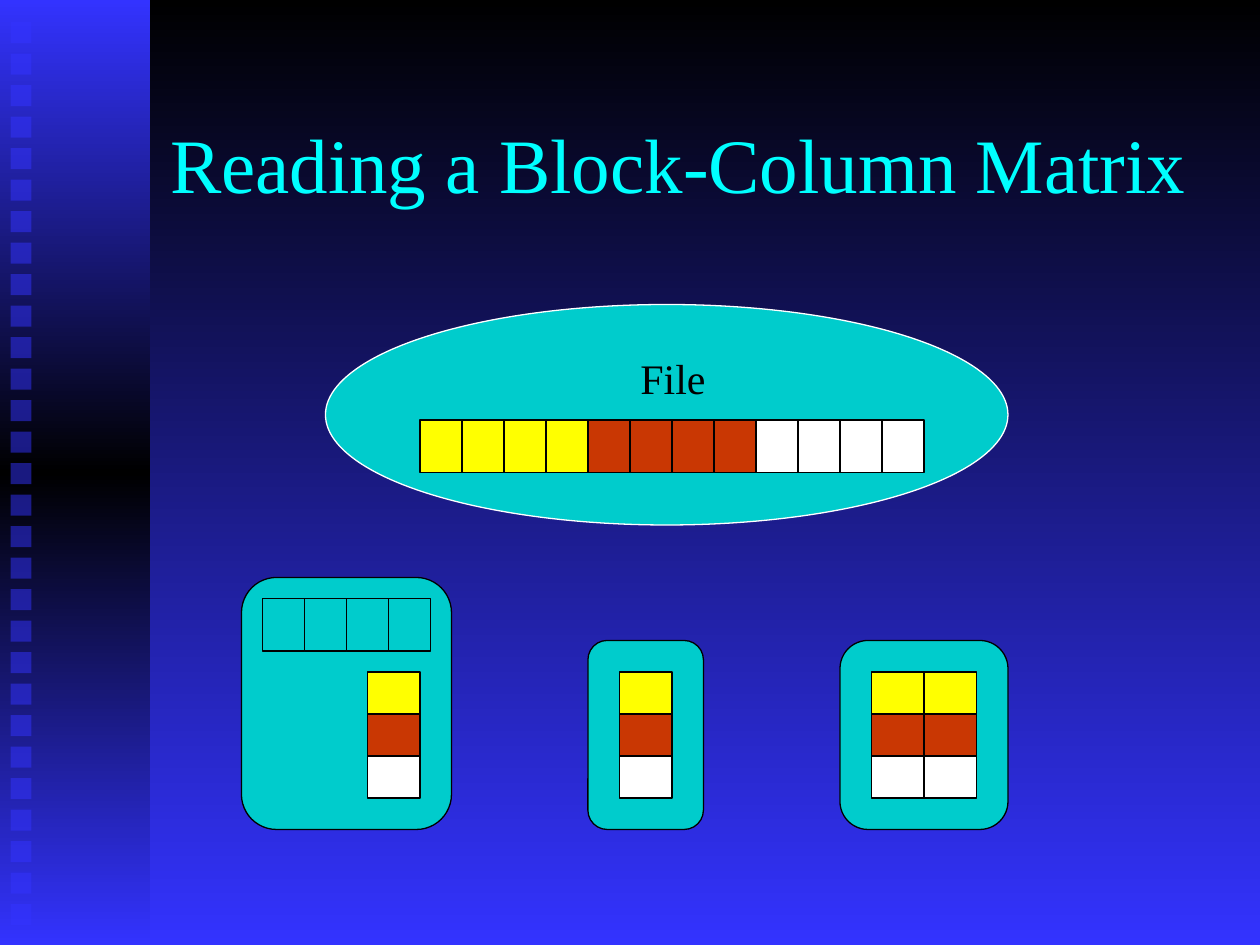
from copy import deepcopy

from lxml import etree
from pptx import Presentation
from pptx.dml.color import RGBColor
from pptx.enum.shapes import MSO_SHAPE
from pptx.enum.text import MSO_ANCHOR, MSO_AUTO_SIZE, PP_ALIGN
from pptx.oxml.ns import qn
from pptx.util import Emu, Pt

PX = 7620  # EMU per px: 120 px to the inch
WIDTH, HEIGHT = 1200, 900
FONT = "Times New Roman"

BLACK = RGBColor(0x00, 0x00, 0x00)
WHITE = RGBColor(0xFF, 0xFF, 0xFF)
BLUE = RGBColor(0x33, 0x33, 0xFF)
CYAN = RGBColor(0x00, 0xFF, 0xFF)
TEAL = RGBColor(0x00, 0xCC, 0xCC)
YELLOW = RGBColor(0xFF, 0xFF, 0x00)
RUST = RGBColor(0xC9, 0x37, 0x03)
BANDS = (YELLOW, RUST, WHITE)

RECT = MSO_SHAPE.RECTANGLE
OVAL = MSO_SHAPE.OVAL
ROUND = MSO_SHAPE.ROUNDED_RECTANGLE
LEFT = PP_ALIGN.LEFT
MIDDLE = MSO_ANCHOR.MIDDLE
NO_FIT = MSO_AUTO_SIZE.NONE
GROW = MSO_AUTO_SIZE.SHAPE_TO_FIT_TEXT


def px(*sizes):
    return [Emu(size * PX) for size in sizes]


def blend(fill, *colors):
    """Fill from top to bottom with evenly spaced colours."""
    fill.gradient()
    fill.gradient_angle = 270
    first = fill.gradient_stops[0]._gs
    for _ in colors[2:]:
        first.addnext(deepcopy(first))
    for i, (stop, color) in enumerate(zip(fill.gradient_stops, colors)):
        stop.position = i / (len(colors) - 1)
        stop.color.rgb = color


class Canvas:
    def __init__(self, slide):
        self.slide = slide

    def shape(self, kind, x, y, w, h, color=None, line=BLACK):
        item = self.slide.shapes.add_shape(kind, *px(x, y, w, h))
        item.shadow.inherit = False
        if color is not None:
            item.fill.solid()
            item.fill.fore_color.rgb = color
        if line is None:
            item.line.fill.background()
        else:
            item.line.color.rgb = line
            item.line.width = Pt(0.75)
        return item

    def style(self, frame, text, size, color):
        frame.text = text
        para = frame.paragraphs[0]
        para.alignment = LEFT
        para.font.name = FONT
        para.font.size = Pt(size)
        para.font.color.rgb = color

    def title(self, text, x, y, w, h):
        item = self.slide.shapes.title
        item.left, item.top, item.width, item.height = px(x, y, w, h)
        frame = item.text_frame
        frame.vertical_anchor = MIDDLE
        frame.auto_size = NO_FIT
        self.style(frame, text, 44, CYAN)

    def label(self, text, x, y, w, h):
        frame = self.slide.shapes.add_textbox(*px(x, y, w, h)).text_frame
        frame.word_wrap = False
        frame.auto_size = GROW
        self.style(frame, text, 24, BLACK)

    def row(self, x, y, colors):
        for i, color in enumerate(colors):
            self.shape(RECT, x + 40 * i, y, 40, 50, color)

    def column(self, x, y, colors):
        for i, color in enumerate(colors):
            self.shape(RECT, x, y + 40 * i, 50, 40, color)

    def box(self, x, y, w, h):
        self.shape(ROUND, x, y, w, h, TEAL).adjustments[0] = 0.167

    def sidebar(self):
        bar = self.shape(RECT, 0, 0, 143, HEIGHT, line=None)
        blend(bar.fill, BLUE, BLACK, BLUE)
        for i in range(29):
            dot = self.shape(RECT, 10, 21 + 30 * i, 20, 20, BLUE, None)
            tint = dot.fill._xPr.find(".//" + qn("a:srgbClr"))
            etree.SubElement(tint, qn("a:alpha"), val="50000")


def main():
    deck = Presentation()
    deck.slide_width, deck.slide_height = px(WIDTH, HEIGHT)
    slide = deck.slides.add_slide(deck.slide_layouts[5])
    blend(slide.background.fill, BLACK, BLUE)

    art = Canvas(slide)
    art.sidebar()
    art.title("Reading a Block-Column Matrix", 150, 80, 1020, 150)

    art.shape(OVAL, 310, 290, 650, 210, TEAL, WHITE)
    art.label("File", 598, 330, 86, 60)
    art.row(400, 400, [color for color in BANDS for _ in range(4)])

    art.box(230, 550, 200, 240)
    art.box(560, 610, 110, 180)
    art.box(800, 610, 160, 180)
    art.row(250, 570, [TEAL] * 4)
    for x in (350, 590, 830, 880):
        art.column(x, 640, BANDS)

    deck.save("out.pptx")


if __name__ == "__main__":
    main()
